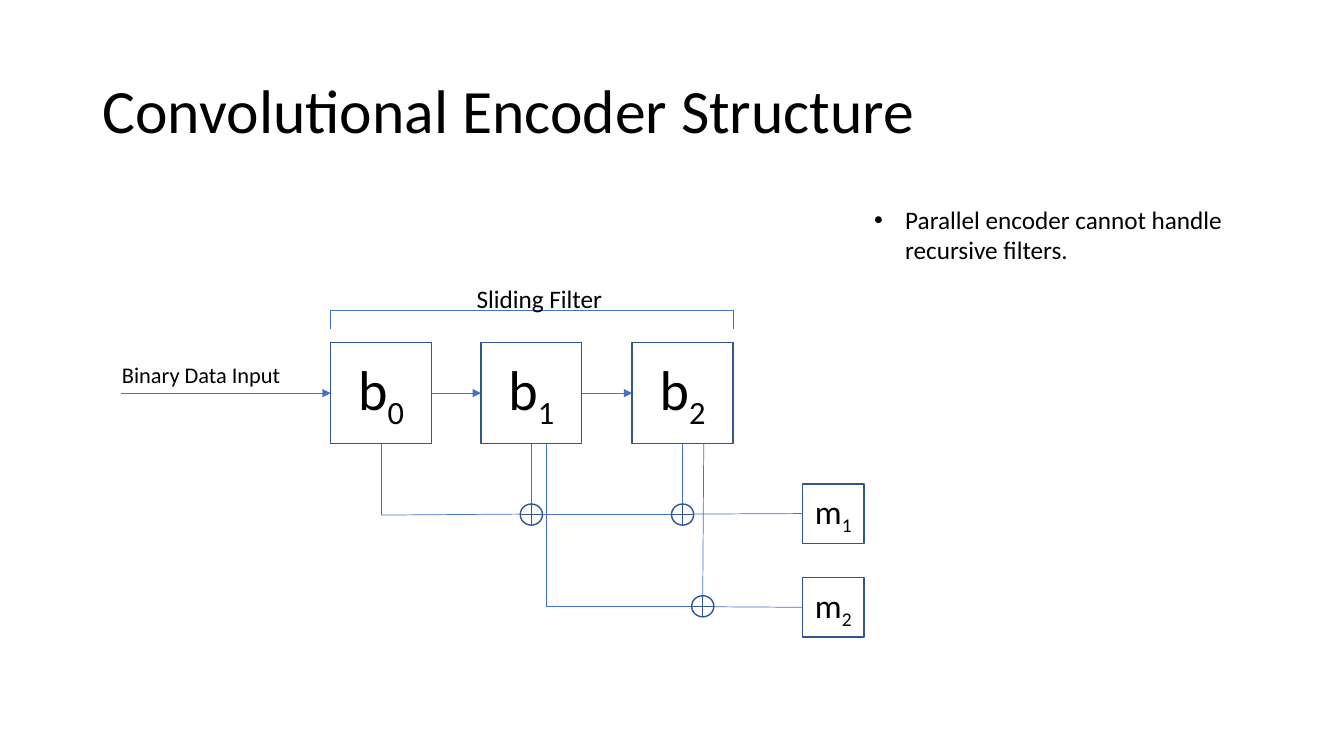
import pptx
import pptx.dml.color
import pptx.enum.shapes
import pptx.enum.text
import pptx.oxml.ns
import pptx.util
from lxml import etree

Inches = pptx.util.Inches
RGBColor = pptx.dml.color.RGBColor
Shape = pptx.enum.shapes.MSO_SHAPE
Anchor = pptx.enum.text.MSO_ANCHOR
Align = pptx.enum.text.PP_ALIGN
AutoSize = pptx.enum.text.MSO_AUTO_SIZE

BLACK = RGBColor(0x00, 0x00, 0x00)
OUTLINE = RGBColor(0x32, 0x54, 0x91)
WIRE = RGBColor(0x44, 0x72, 0xC4)
BOTTOM, LEFT, RIGHT = 2, 1, 3


def apply(target, formats):
    for name, value in formats.items():
        setattr(target, name, value)


def add_xml(parent, tag, **attributes):
    return etree.SubElement(parent, pptx.oxml.ns.qn(tag), attributes)


class Diagram:
    font = "Calibri"

    def __init__(self, s):
        self.s = s

    def paragraph(self, tf, text, size, subscript="", **formats):
        p = tf.paragraphs[0]
        apply(p, formats)
        for part in filter(None, (text, subscript)):
            r = p.add_run()
            r.text = part
            apply(r.font, {"name": self.font, "size": pptx.util.Pt(size)})
            r.font.color.rgb = BLACK
        if subscript:
            r._r.get_or_add_rPr().set("baseline", "-25000")
        return p

    def shape(self, kind, x, y, w, h):
        sp = self.s.shapes.add_shape(kind, Inches(x), Inches(y), Inches(w), Inches(h))
        sp.shadow.inherit = False
        sp.fill.background()
        sp.line.color.rgb = OUTLINE
        sp.line.width = pptx.util.Pt(1)
        return sp

    def box(self, x, y, w, h, letter, index, size):
        sp = self.shape(Shape.RECTANGLE, x, y, w, h)
        sp.text_frame.vertical_anchor = Anchor.MIDDLE
        self.paragraph(sp.text_frame, letter, size, index, alignment=Align.CENTER)
        return sp

    def adder(self, x, y):
        self.shape(Shape.FLOWCHART_OR, x, y, 0.22, 0.21)

    def text(self, x, y, w, h, text, size, frame=None, **formats):
        sp = self.s.shapes.add_textbox(Inches(x), Inches(y), Inches(w), Inches(h))
        tf = sp.text_frame
        apply(tf, {"word_wrap": True, "auto_size": AutoSize.SHAPE_TO_FIT_TEXT, **(frame or {})})
        return self.paragraph(tf, text, size, **formats)

    def bullet(self, x, y, w, h, text, size):
        pPr = self.text(x, y, w, h, text, size)._p.get_or_add_pPr()
        indent = Inches(0.31)
        pPr.set("marL", str(indent))
        pPr.set("indent", str(-indent))
        add_xml(pPr, "a:buFont", typeface="Arial")
        add_xml(pPr, "a:buChar", char="•")

    def wire(self, start, end, source=None, target=None, arrow=False):
        points = [Inches(v) for v in (*start, *end)]
        c = self.s.shapes.add_connector(pptx.enum.shapes.MSO_CONNECTOR.STRAIGHT, *points)
        if source:
            c.begin_connect(*source)
        if target:
            c.end_connect(*target)
        c.line.color.rgb = WIRE
        c.line.width = pptx.util.Pt(0.5)
        if arrow:
            add_xml(c.line._get_or_add_ln(), "a:tailEnd", type="triangle")
        add_xml(c._element.spPr, "a:effectLst")


def main():
    prs = pptx.Presentation()
    prs.slide_width, prs.slide_height = Inches(13.33), Inches(7.5)
    d = Diagram(prs.slides.add_slide(prs.slide_layouts[6]))

    d.text(0.92, 0.4, 11.5, 1.45, "Convolutional Encoder Structure", 44,
           {"vertical_anchor": Anchor.MIDDLE, "auto_size": AutoSize.NONE}, line_spacing=0.9)

    lefts = (3.28, 4.77, 6.27)
    bits = [d.box(x, 3.4, 1, 1, "b", str(i), 40) for i, x in enumerate(lefts)]
    m1, m2 = [d.box(7.96, y, 0.61, 0.59, "m", str(i), 24) for i, y in enumerate((4.8, 5.73), 1)]

    d.wire((1.2, 3.9), (3.28, 3.9), target=(bits[0], LEFT), arrow=True)
    for i in range(2):
        d.wire((lefts[i] + 1, 3.9), (lefts[i + 1], 3.9),
               (bits[i], RIGHT), (bits[i + 1], LEFT), arrow=True)

    for bit, x, y in zip(bits, lefts, (5.11, 5, 5)):
        d.wire((x + 0.5, 4.4), (x + 0.5, y), (bit, BOTTOM))
    d.wire((5.16, 5.1), (3.78, 5.11))
    d.wire((5.39, 5.1), (6.66, 5.1))
    d.wire((6.88, 5.1), (7.96, 5.09), target=(m1, LEFT))

    d.wire((5.42, 4.4), (5.42, 6.02))
    d.wire((6.98, 4.4), (6.97, 5.91))
    d.wire((5.42, 6.02), (6.86, 6.02))
    d.wire((7.08, 6.02), (7.96, 6.02), target=(m2, LEFT))

    for x, y in ((5.16, 5), (6.66, 5), (6.86, 5.91)):
        d.adder(x, y)

    d.wire((3.28, 3.08), (7.27, 3.08))
    for x in (3.28, 7.27):
        d.wire((x, 3.26), (x, 3.08))

    d.text(0.92, 3.53, 2.15, 0.37, "Binary Data Input", 16, alignment=Align.CENTER)
    d.text(3.61, 2.76, 3.48, 0.4, "Sliding Filter", 18, alignment=Align.CENTER)
    d.bullet(8.57, 1.98, 4.08, 1.01, "Parallel encoder cannot handle recursive filters.", 18)

    prs.save("out.pptx")


if __name__ == "__main__":
    main()
